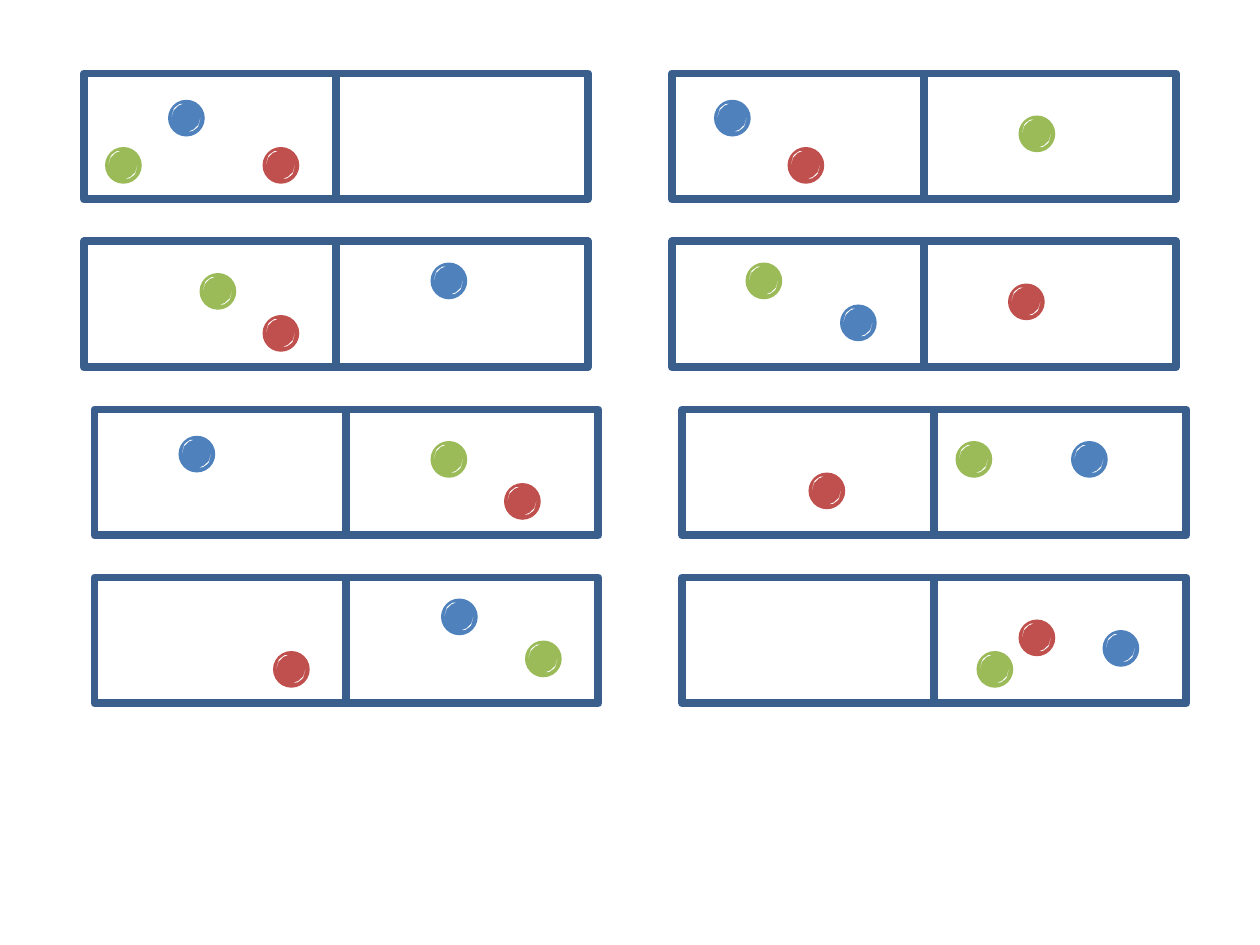
from pptx import Presentation
from pptx.dml.color import RGBColor
from pptx.enum import shapes as kinds
from pptx.util import Pt

BORDER, WHITE = "3A5F8C", "FFFFFF"
BEAD_COLOURS = ["4F81BD", "C0504D", "9BBB59"]  # blue, red, green
BOX_WIDTH, BOX_HEIGHT, ROW_STEP = 144, 72, 96
BEAD_SIZE = 21

# Crescent outline, in tenths of a point from the bead's top left corner
GLINT = [(120, 181), (146, 171), (173, 145), (185, 105),
         (173, 152), (163, 163), (139, 180)]

# One row per line: left and right pair of boxes, each with the
# positions of its blue, red and green bead
BEADS = [
    [[(96, 57), (150, 84), (60, 84)], [(408, 57), (450, 84), (582, 66)]],
    [[(246, 150), (150, 180), (114, 156)], [(480, 174), (576, 162), (426, 150)]],
    [[(102, 249), (288, 276), (246, 252)], [(612, 252), (462, 270), (546, 252)]],
    [[(252, 342), (156, 372), (300, 366)], [(630, 360), (582, 354), (558, 372)]],
]


def paint(shape, fill=None, line=None, width=4.5):
    shape.shadow.inherit = False
    if fill:
        shape.fill.solid()
        shape.fill.fore_color.rgb = RGBColor.from_string(fill)
    else:
        shape.fill.background()
    if line:
        shape.line.color.rgb = RGBColor.from_string(line)
        shape.line.width = Pt(width)
    else:
        shape.line.fill.background()


def add_bead(slide, x, y, colour):
    bead = slide.shapes.add_group_shape()
    ball = bead.shapes.add_shape(kinds.MSO_SHAPE.OVAL, Pt(x), Pt(y),
                                 Pt(BEAD_SIZE), Pt(BEAD_SIZE))
    paint(ball, fill=colour)
    # Lower right glint, then the same one turned round at upper left
    for dx, dy, turn in [(0, 0, 0), (-100, -82, 180)]:
        outline = [(x * 10 + px + dx, y * 10 + py + dy) for px, py in GLINT]
        builder = bead.shapes.build_freeform(*outline[0], scale=Pt(1) / 10)
        builder.add_line_segments(outline[1:], close=True)
        glint = builder.convert_to_shape()
        glint.rotation = turn
        paint(glint, fill=WHITE)


prs = Presentation()
prs.slide_width, prs.slide_height = Pt(720), Pt(540)
slide = prs.slides.add_slide(prs.slide_layouts[6])

for row, pairs in enumerate(BEADS):
    top = 42 + row * ROW_STEP
    indent = 6 if row >= 2 else 0  # the lower two rows sit further right
    for left, beads in zip((48, 384), pairs):
        # Two adjoining boxes
        for half in range(2):
            box = slide.shapes.add_shape(
                kinds.MSO_SHAPE.RECTANGLE,
                Pt(left + indent + half * BOX_WIDTH), Pt(top),
                Pt(BOX_WIDTH), Pt(BOX_HEIGHT))
            paint(box, line=BORDER)
        # Three beads shared between them
        for (x, y), colour in zip(beads, BEAD_COLOURS):
            add_bead(slide, x, y, colour)

prs.save("out.pptx")
